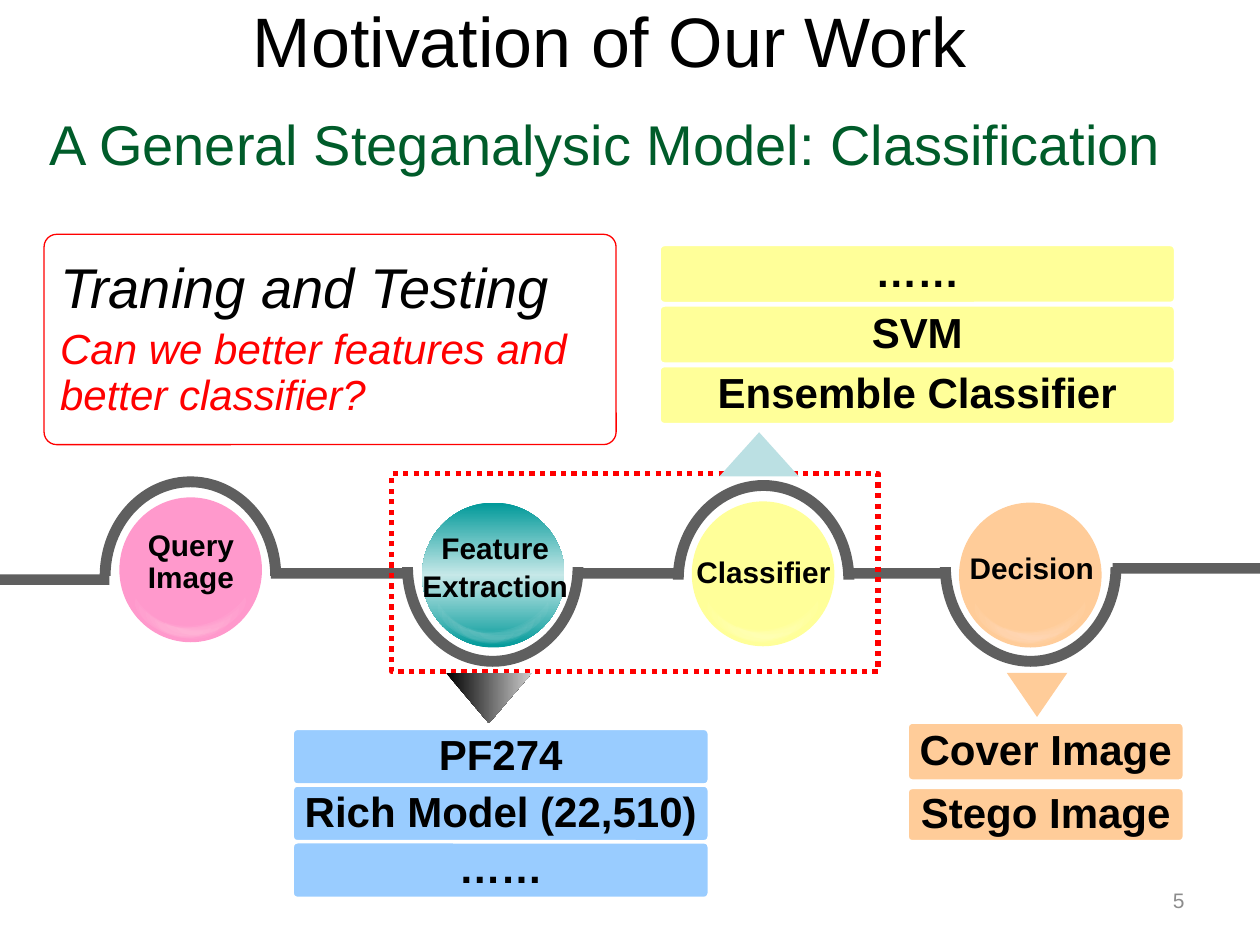
from lxml import etree
from pptx import Presentation
from pptx import util as u
from pptx.dml import color
from pptx.enum import dml, shapes, text
from pptx.oxml import ns

KIND = shapes.MSO_SHAPE
ALIGN = text.PP_ALIGN
GRAY, RED, BLACK = "5F5F5F", "FF0000", "000000"
rgb = color.RGBColor.from_string

presentation = Presentation()
presentation.slide_width, presentation.slide_height = u.Pt(720), u.Pt(540)
slide = presentation.slides.add_slide(presentation.slide_layouts[1])


def draw(kind, box, fill=None, line=None, width=1, adjustments=()):
    shape = slide.shapes.add_shape(kind, *[u.Pt(length) for length in box])
    shape.shadow.inherit = False
    for index, value in enumerate(adjustments):
        shape.adjustments[index] = value
    if fill:
        shape.fill.solid()
        shape.fill.fore_color.rgb = rgb(fill)
    else:
        shape.fill.background()
    if line:
        shape.line.color.rgb = rgb(line)
        shape.line.width = u.Pt(width)
    else:
        shape.line.fill.background()
    return shape


def write(shape, words, size, hue=BLACK, align=ALIGN.CENTER, before=0, bold=False,
          italic=False, wrap=True, anchor=text.MSO_ANCHOR.MIDDLE, more=False):
    frame = shape.text_frame
    frame.word_wrap = wrap
    frame.auto_size = text.MSO_AUTO_SIZE.NONE
    frame.vertical_anchor = anchor
    for index, line in enumerate(words.split("\n")):
        first = index == 0 and not more
        paragraph = frame.paragraphs[0] if first else frame.add_paragraph()
        paragraph.text = line
        paragraph.alignment = align
        paragraph.line_spacing = 0.9
        paragraph.space_before = u.Pt(0 if first else before)
        font = paragraph.font
        font.name, font.size, font.bold, font.italic = "Arial", u.Pt(size), bold, italic
        font.color.rgb = rgb(hue)


title, subtitle = slide.placeholders
for placeholder, box in [(title, (24.5, -19.5, 648, 90)), (subtitle, (21, 58.5, 684.5, 51))]:
    placeholder.left, placeholder.top, placeholder.width, placeholder.height = map(u.Pt, box)
write(title, "Motivation of Our Work", 40)
properties = subtitle.text_frame.paragraphs[0]._p.get_or_add_pPr()
properties.set("marL", "0")
properties.set("indent", "0")
etree.SubElement(properties, ns.qn("a:buNone"))
write(subtitle, "A General Steganalysic Model: Classification", 32, "005C2A", ALIGN.LEFT)

page_number = slide.shapes.add_textbox(u.Pt(516), u.Pt(500.5), u.Pt(168), u.Pt(29))
write(page_number, "5", 12, "8C8C8C", ALIGN.RIGHT)

gloss = [(49, 49, 66.1), (42.5, 51, 79.7), (38, 52.5, 84.6), (33, 52.5, 93.5),
         (36.5, 53.2, 88.7), (29.5, 53.2, 102.2), (25, 51.8, 107.2), (21, 50.4, 116)]
balls = []
for left, top, fill in [(241.2, 287.2, "009999"), (395.3, 286.5, "FFFF99"),
                        (548, 287.2, "FFCC99"), (68.2, 284.2, "FF99CC")]:
    balls.append(draw(KIND.OVAL, (left, top, 81.5, 82.8), fill))
    for across, down, angle in gloss:
        moon = draw(KIND.MOON, (left + across, top + down, 10.8, 43), "FFFFFF", adjustments=[0.5])
        moon.rotation = angle + 180
        white = moon._element.spPr.find(".//" + ns.qn("a:srgbClr"))
        etree.SubElement(white, ns.qn("a:alpha"), val="4000")

for words, box, before in [("Feature\nExtraction", (229, 301.7, 108, 48), 3.4),
                           ("Classifier", (386.6, 315.4, 99.4, 26), 0),
                           ("Query\nImage", (61.2, 299.5, 95.8, 48), 0),
                           ("Decision", (541.4, 313.2, 96.5, 26), 0)]:
    label = slide.shapes.add_textbox(*[u.Pt(length) for length in box])
    write(label, words, 17, before=before, bold=True, anchor=text.MSO_ANCHOR.TOP)

for left, top, width in [(0, 328.3, 62.6), (154.8, 324.7, 77.8), (327.6, 324.7, 62.6),
                         (484.6, 324.7, 56.9), (635.8, 321.8, 84.2)]:
    draw(KIND.RECTANGLE, (left, top, width, 6), GRAY)

for left, top, rotation in [(57, 272.2, 0), (229.7, 267.2, 180),
                            (384.5, 274.3, 0), (537.1, 267.2, 180)]:
    arc = draw(KIND.BLOCK_ARC, (left, top, 103.7, 113.8), GRAY)
    arc.adjustments[2] = 0.06
    arc.rotation = rotation

frame_box = draw(KIND.RECTANGLE, (223.9, 270.7, 277.9, 113), line=RED, width=3)
frame_box.line.dash_style = dml.MSO_LINE.ROUND_DOT

head = [0.52, 1]
draw(KIND.DOWN_ARROW, (575.3, 384.5, 34.6, 25.2), "FFCC99", adjustments=head)
draw(KIND.UP_ARROW, (411.1, 247, 45.4, 25.2), "BBE0E3", adjustments=head)
feature_arrow = draw(KIND.DOWN_ARROW, (254.9, 384.5, 49, 28.8), BLACK, adjustments=head)

for shape, angle, stops in [(balls[0], 90, ["009999", "C6E8E8", "009999"]),
                            (feature_arrow, 0, [BLACK, "CDCDCD"])]:
    shape.fill.gradient()
    shape.fill.gradient_angle = angle
    stop_list = shape._element.spPr.find(".//" + ns.qn("a:gsLst"))
    for stop in list(stop_list):
        stop_list.remove(stop)
    for index, hue in enumerate(stops):
        position = index * 100000 // (len(stops) - 1)
        stop = etree.SubElement(stop_list, ns.qn("a:gs"), pos=str(position))
        etree.SubElement(stop, ns.qn("a:srgbClr"), val=hue)

for left, top, width, height, step, fill, names in [
        (376.6, 139.7, 295.2, 33.8, 34.6, "FFFF99", ["……", "SVM", "Ensemble Classifier"]),
        (167, 416.2, 238.3, 32.4, 32.4, "99CCFF", ["PF274", "Rich Model (22,510)", "……"]),
        (518.4, 412.6, 158.4, 33.8, 0, "FFCC99", ["Cover Image"]),
        (518.4, 450, 158.4, 31, 0, "FFCC99", ["Stego Image"])]:
    for row, name in enumerate(names):
        tag = draw(KIND.ROUNDED_RECTANGLE, (left, top + row * step, width, height),
                   fill, "FFFFFF", 2, [0.09])
        write(tag, name, 24, bold=True, wrap=False)

question = draw(KIND.ROUNDED_RECTANGLE, (25.2, 133.9, 326.9, 120.2), line=RED, width=0.75,
                adjustments=[0.06])
write(question, "Traning and Testing", 32, align=ALIGN.LEFT, italic=True)
write(question, "Can we better features and better classifier?", 24, RED, ALIGN.LEFT,
      before=4.8, italic=True, more=True)

presentation.save("out.pptx")
